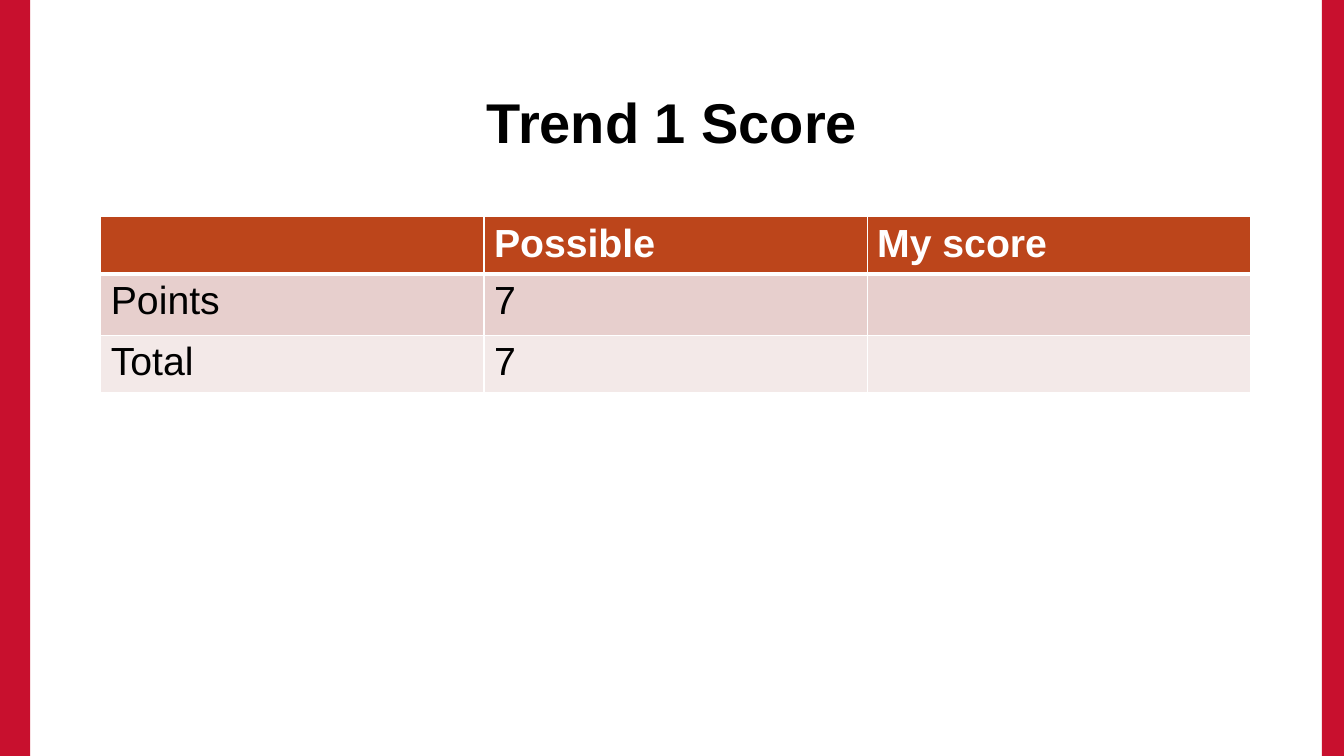
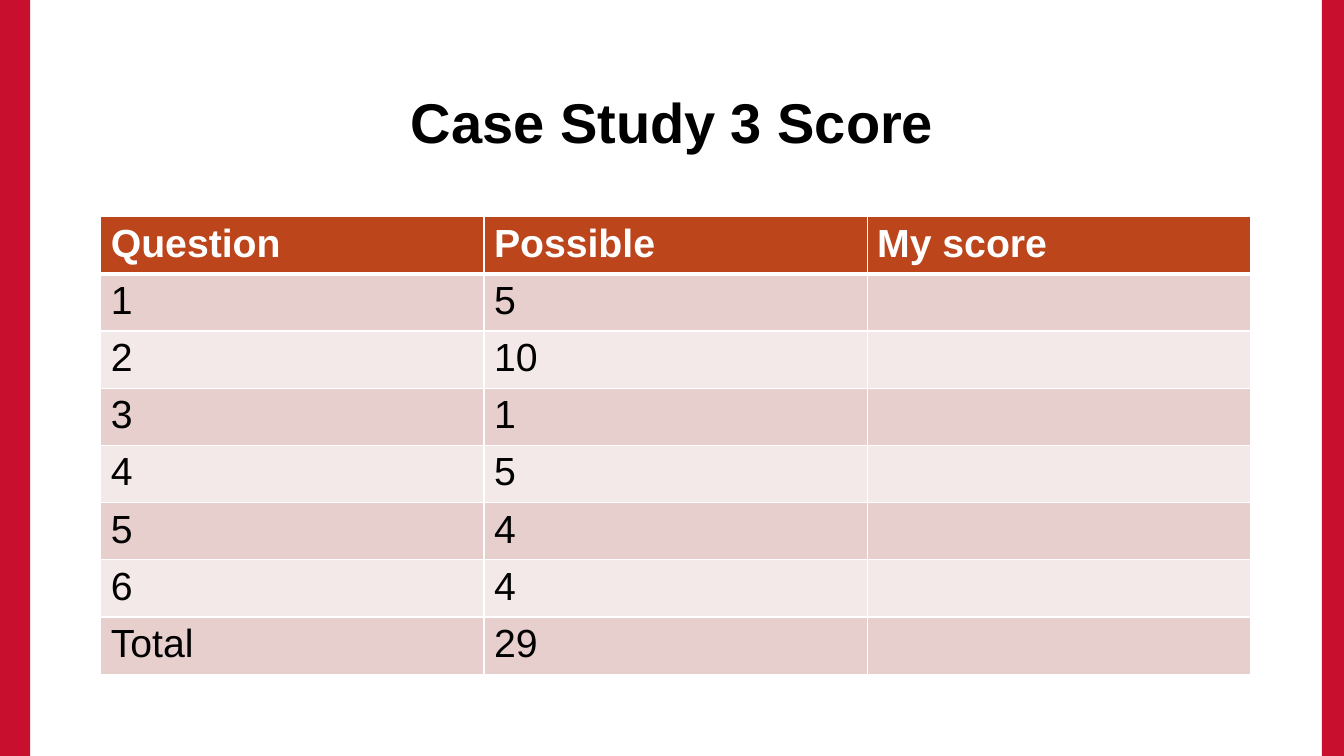
"""Build two score sheets: a centred title over a banded table."""
from lxml import etree
from pptx import Presentation
from pptx import util as u
from pptx.dml.color import RGBColor
from pptx.enum import shapes, text
from pptx.oxml.ns import qn

W, H = 13.33, 7.5
LEFT, COL_W, ROW_H = 1, 3.8, 0.53
FONT = "Arial"
COLORS = {
    "band": "C8102E",
    "header": "BC451B",
    "odd": "E7CFCD",
    "even": "F3E9E8",
    "ink": "000000",
    "white": "FFFFFF",
}
SCORES = [
    ("Trend 1 Score", [
        ("", "Possible", "My score"),
        ("Points", "7", ""),
        ("Total", "7", ""),
    ], {1: 0.61}),
    ("Case Study 3 Score", [
        ("Question", "Possible", "My score"),
        ("1", "5", ""),
        ("2", "10", ""),
        ("3", "1", ""),
        ("4", "5", ""),
        ("5", "4", ""),
        ("6", "4", ""),
        ("Total", "29", ""),
    ], {}),
]


def rgb(name):
    """Return the named colour."""
    return RGBColor.from_string(COLORS[name])


def style(p, size, color, bold):
    """Format a paragraph's font."""
    p.font.name, p.font.size, p.font.bold = FONT, u.Pt(size), bold
    p.font.color.rgb = rgb(color)


def add_band(s, x, width):
    """Add a full-height band at a side of the slide."""
    sp = s.shapes.add_shape(shapes.MSO_SHAPE.RECTANGLE, u.Inches(x), 0,
                            u.Inches(width), u.Inches(H))
    sp.shadow.inherit = False
    sp.fill.solid()
    sp.fill.fore_color.rgb = rgb("band")
    sp.line.fill.background()


def add_title(s, title):
    """Add the centred bold title."""
    sp = s.shapes.add_textbox(u.Inches(LEFT), u.Inches(0.67),
                              u.Inches(W - 2 * LEFT), u.Inches(1.06))
    tf = sp.text_frame
    tf.word_wrap = True
    tf.vertical_anchor = text.MSO_ANCHOR.MIDDLE
    p = tf.paragraphs[0]
    p.text = title
    p.alignment = text.PP_ALIGN.CENTER
    style(p, 40, "ink", True)


def set_borders(cell, top, bottom):
    """Draw white cell borders, with top and bottom widths in points."""
    pr = cell._tc.get_or_add_tcPr()
    for side, width in (("L", 1), ("R", 1), ("T", top), ("B", bottom)):
        ln = etree.SubElement(pr, qn(f"a:ln{side}"), w=str(u.Pt(width)))
        fill = etree.SubElement(ln, qn("a:solidFill"))
        etree.SubElement(fill, qn("a:srgbClr"), val=COLORS["white"])


def add_score_table(s, rows, heights):
    """Add a header row and banded rows; heights overrides the row height."""
    n = len(rows[0])
    tbl = s.shapes.add_table(len(rows), n, u.Inches(LEFT), u.Inches(2.15),
                             u.Inches(n * COL_W), u.Inches(len(rows) * ROW_H)).table
    for col in tbl.columns:
        col.width = u.Inches(COL_W)
    for i, row in enumerate(rows):
        tbl.rows[i].height = u.Inches(heights.get(i, ROW_H))
        head = i == 0
        fill = "header" if head else "odd" if i % 2 else "even"
        for j, value in enumerate(row):
            cell = tbl.cell(i, j)
            set_borders(cell, 3 if i == 1 else 1, 3 if head else 1)
            cell.fill.solid()
            cell.fill.fore_color.rgb = rgb(fill)
            p = cell.text_frame.paragraphs[0]
            p.text = value
            style(p, 28, "white" if head else "ink", head)


def main():
    """Build and save the deck."""
    prs = Presentation()
    prs.slide_width, prs.slide_height = u.Inches(W), u.Inches(H)
    for title, rows, heights in SCORES:
        s = prs.slides.add_slide(prs.slide_layouts[6])
        add_band(s, 0, 0.3)
        add_band(s, W - 0.22, 0.22)
        add_title(s, title)
        add_score_table(s, rows, heights)
    prs.save("out.pptx")


if __name__ == "__main__":
    main()
